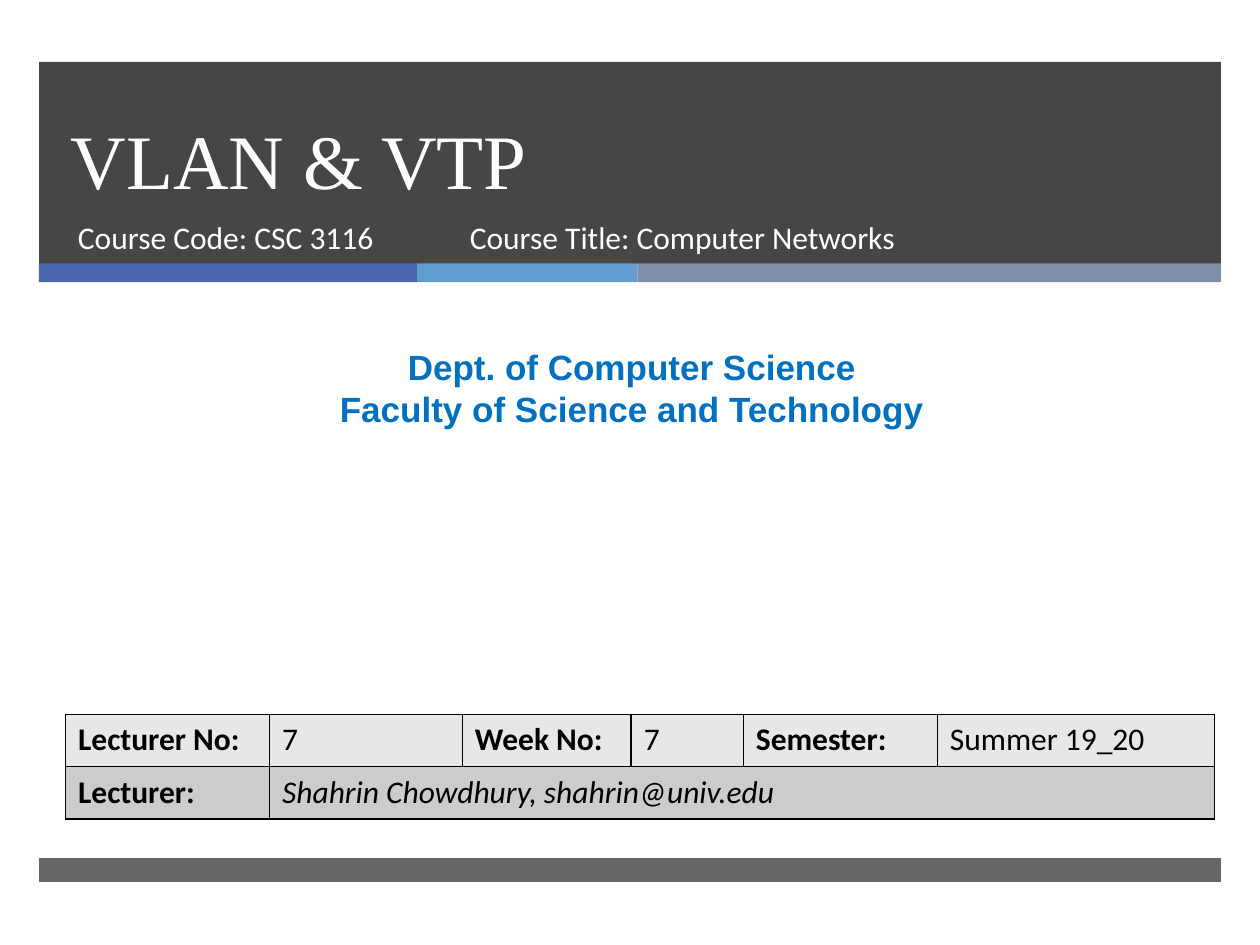
from lxml import etree
from pptx import Presentation
from pptx.dml.color import RGBColor
from pptx.enum.shapes import MSO_SHAPE
from pptx.enum.text import MSO_ANCHOR, MSO_AUTO_SIZE, PP_ALIGN
from pptx.oxml.ns import qn
from pptx.util import Inches, Pt

RECTANGLE = MSO_SHAPE.RECTANGLE
TOP, BOTTOM = MSO_ANCHOR.TOP, MSO_ANCHOR.BOTTOM
LEFT, CENTER = PP_ALIGN.LEFT, PP_ALIGN.CENTER
NO_AUTOFIT = MSO_AUTO_SIZE.NONE
WHITE = RGBColor(0xFF, 0xFF, 0xFF)
BLACK = RGBColor(0, 0, 0)
CHARCOAL = RGBColor(0x26, 0x26, 0x26)
INDIGO = RGBColor(0x4A, 0x66, 0xAC)
SKY = RGBColor(0x62, 0x9D, 0xD1)
SLATE = RGBColor(0x7F, 0x8F, 0xA9)
BLUE = RGBColor(0x00, 0x70, 0xC0)
LIGHT_GREY = RGBColor(0xE7, 0xE7, 0xE7)
MID_GREY = RGBColor(0xCC, 0xCC, 0xCC)

TITLE_FONT = {"name": "Times New Roman", "size": Pt(44), "bold": False}
COURSE_FONT = {"name": "Calibri", "size": Pt(18)}
DEPARTMENT_FONT = {"name": "Arial", "size": Pt(20), "bold": True}


def write_line(para, text, font, color, align=LEFT):
    para.alignment = align
    span = para.add_run()
    span.text = text
    for name, value in font.items():
        setattr(span.font, name, value)
    span.font.color.rgb = color


def add_band(page, left, top, width, height, color, opacity=100):
    band = page.shapes.add_shape(
        RECTANGLE, Inches(left), Inches(top), Inches(width), Inches(height))
    band.shadow.inherit = False
    band.line.fill.background()
    band.fill.solid()
    band.fill.fore_color.rgb = color
    if opacity < 100:
        swatch = band.element.spPr.find(qn("a:solidFill"))[0]
        etree.SubElement(swatch, qn("a:alpha"), val=str(opacity * 1000))


def add_text(page, left, top, width, height, lines, font, color, align=LEFT):
    box = page.shapes.add_textbox(
        Inches(left), Inches(top), Inches(width), Inches(height))
    frame = box.text_frame
    frame.word_wrap = True
    frame.vertical_anchor = TOP
    for index, text in enumerate(lines):
        para = frame.add_paragraph() if index else frame.paragraphs[0]
        write_line(para, text, font, color, align)


def place_title(page, left, top, width, height, text):
    title = page.shapes.title
    title.left, title.top = Inches(left), Inches(top)
    title.width, title.height = Inches(width), Inches(height)
    frame = title.text_frame
    frame.word_wrap = True
    frame.auto_size = NO_AUTOFIT
    frame.vertical_anchor = BOTTOM
    para = frame.paragraphs[0]
    para.line_spacing = Pt(46)
    write_line(para, text, TITLE_FONT, WHITE)
    title.element.getparent().append(title.element)


def add_header(page, left, top, width):
    add_band(page, left, top, width, 1.61, CHARCOAL, 85)
    stripe_left = left
    for stripe_width, color in ((3, INDIGO), (1.75, SKY), (4.63, SLATE)):
        add_band(page, stripe_left, top + 1.6, stripe_width, 0.15, color)
        stripe_left += stripe_width
    place_title(page, left + 0.15, top, 8.54, 1.19, "VLAN & VTP")
    for offset, box_width, text in (
            (0.21, 3.05, "Course Code: CSC 3116"),
            (3.32, 4.55, "Course Title: Computer Networks")):
        add_text(page, left + offset, top + 1.19, box_width, 0.53,
                 [text], COURSE_FONT, WHITE)


def add_borders(cell):
    properties = cell._tc.get_or_add_tcPr()
    for position, side in enumerate(("lnL", "lnR", "lnT", "lnB")):
        line = etree.Element(qn("a:" + side), w=str(Pt(1)))
        fill = etree.SubElement(line, qn("a:solidFill"))
        etree.SubElement(fill, qn("a:srgbClr"), val=str(BLACK))
        properties.insert(position, line)


def add_lecture_table(page, left, top, width, height):
    rows = (
        (LIGHT_GREY, ("Lecturer No:", "7", "Week No:", "7", "Semester:", "Summer 19_20")),
        (MID_GREY, ("Lecturer:", "Shahrin Chowdhury, shahrin@univ.edu", "", "", "", "")),
    )
    column_widths = (1.62, 1.53, 1.34, 0.89, 1.54, 2.2)
    table = page.shapes.add_table(
        len(rows), len(column_widths),
        Inches(left), Inches(top), Inches(width), Inches(height)).table
    for column, column_width in zip(table.columns, column_widths):
        column.width = Inches(column_width)
    table.cell(1, 1).merge(table.cell(1, 5))
    for row_index, (color, texts) in enumerate(rows):
        for column_index, text in enumerate(texts):
            cell = table.cell(row_index, column_index)
            cell.fill.solid()
            cell.fill.fore_color.rgb = color
            add_borders(cell)
            if text:
                font = {**COURSE_FONT, "bold": column_index % 2 == 0,
                        "italic": row_index == 1 and column_index == 1}
                write_line(cell.text_frame.paragraphs[0], text, font, BLACK)


def build_title_slide(deck):
    page = deck.slides.add_slide(deck.slide_layouts[5])
    add_header(page, 0.31, 0.49, 9.38)
    add_band(page, 0.31, 6.81, 9.38, 0.19, CHARCOAL, 70)
    add_text(page, 0.08, 2.69, 9.87, 0.77,
             ["Dept. of Computer Science", "Faculty of Science and Technology"],
             DEPARTMENT_FONT, BLUE, CENTER)
    add_lecture_table(page, 0.52, 5.67, 9.12, 0.83)


deck = Presentation()
deck.slide_width, deck.slide_height = Inches(10), Inches(7.5)
build_title_slide(deck)
deck.save("out.pptx")
